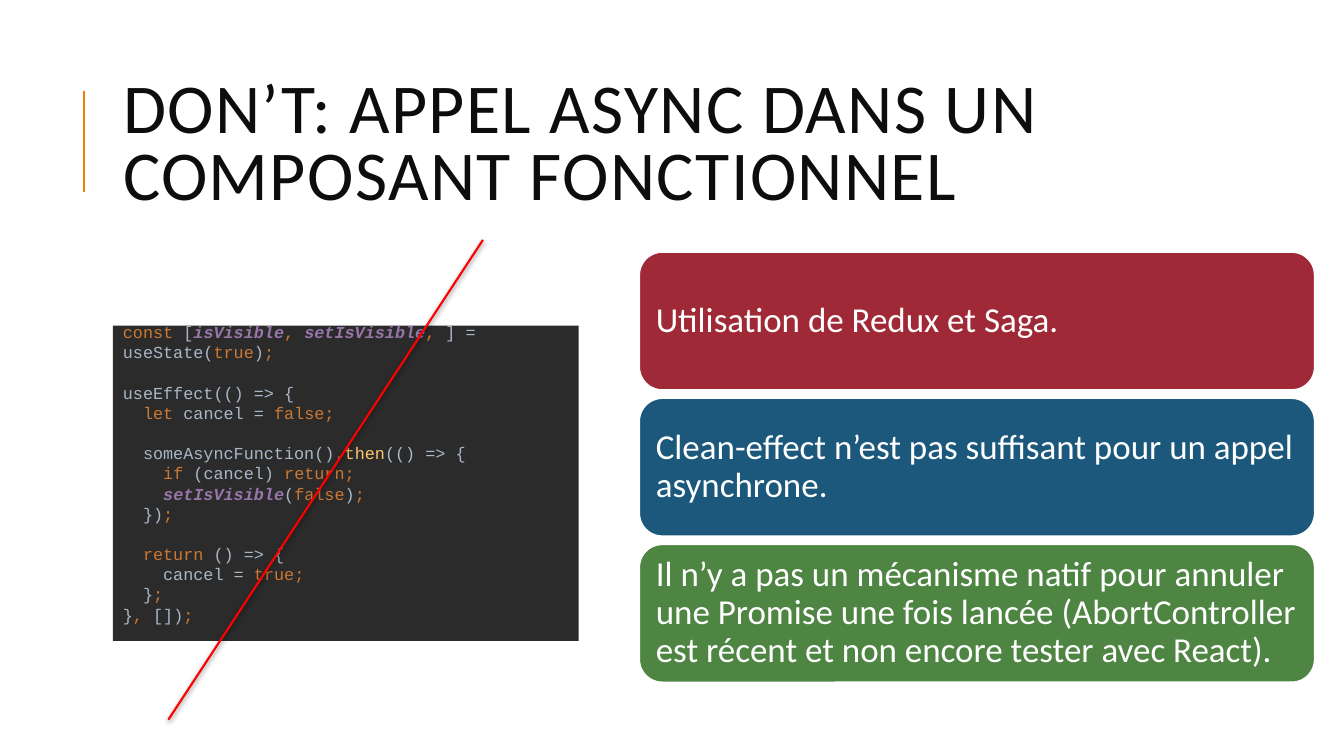
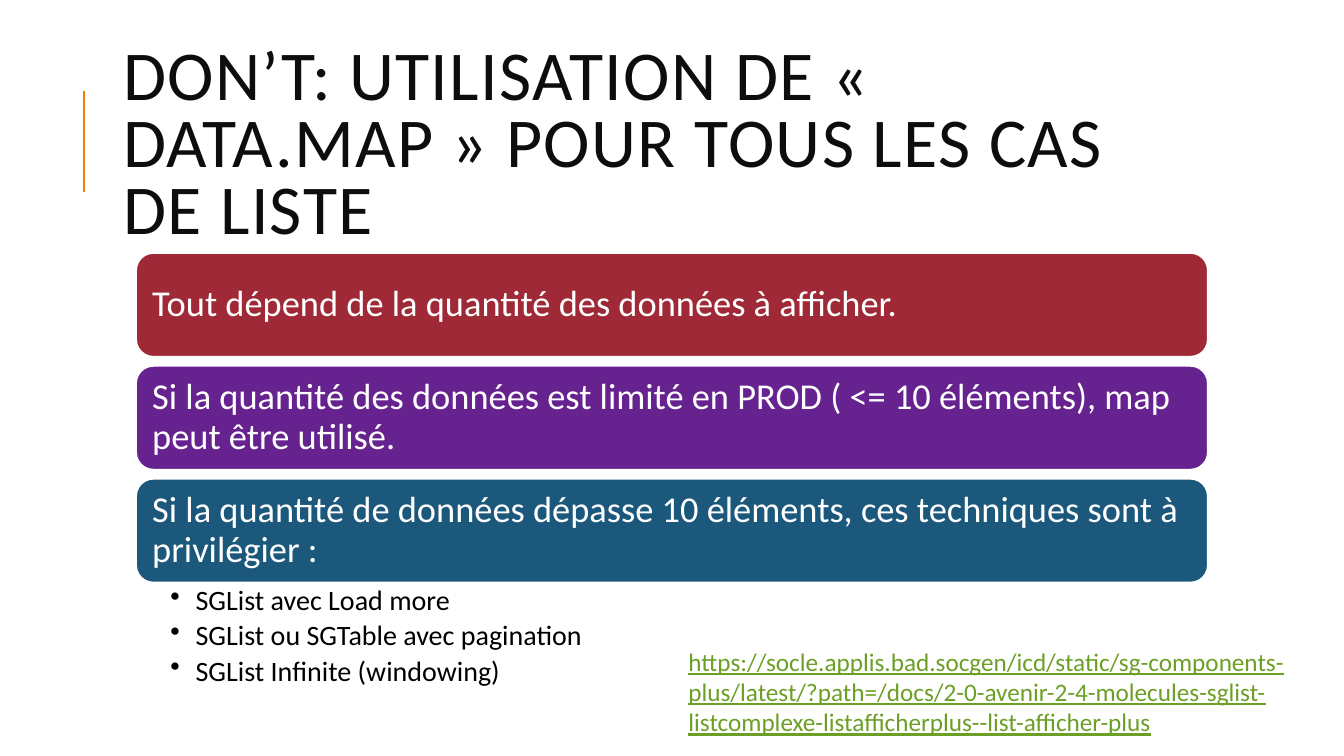
from dataclasses import dataclass
from typing import NamedTuple

import lxml.etree
import pptx
import pptx.dml.color
import pptx.enum.shapes
import pptx.enum.text
import pptx.oxml.ns
import pptx.presentation
import pptx.shapes.autoshape
import pptx.shapes.connector
import pptx.slide
import pptx.text.text
import pptx.util

EMU_PER_PX = 9144
ANCHOR = pptx.enum.text.MSO_ANCHOR
SHAPE = pptx.enum.shapes.MSO_SHAPE
qn = pptx.oxml.ns.qn


@dataclass(frozen=True)
class Theme:
    font: str = "Calibri"
    code_font: str = "Courier New"
    title: str = "0D0D0D"
    accent: str = "F07F09"
    white: str = "FFFFFF"
    black: str = "000000"
    red: str = "9F2936"
    blue: str = "1B587C"
    green: str = "4E8542"
    purple: str = "66228E"
    strike: str = "FF0000"
    link: str = "6B9F25"
    code_fill: str = "2B2B2B"
    plain: str = "A9B7C6"
    keyword: str = "CC7832"
    state: str = "9876AA"
    method: str = "FFC66D"
    title_size: int = 50
    bullet_size: int = 20
    link_size: int = 18
    code_size: int = 12


THEME = Theme()


class Box(NamedTuple):
    left: int
    top: int
    width: int
    height: int


class Card(NamedTuple):
    text: str
    fill: str


class Token(NamedTuple):
    text: str
    color: str


@dataclass(frozen=True)
class CardStack:
    first: Box
    gap: int
    inset: int
    size: int
    cards: tuple[Card, ...]


TITLE_BOX = Box(112, 64, 1063, 164)
CODE_BOX = Box(112, 323, 462, 313)
BULLET_BOX = Box(135, 578, 1063, 103)
LINK_BOX = Box(673, 636, 643, 101)

ASYNC_STACK = CardStack(Box(634, 250, 670, 137), 8, 10, 25, (
    Card("Utilisation de Redux et Saga.", THEME.red),
    Card("Clean-effect n’est pas suffisant pour un appel asynchrone.", THEME.blue),
    Card("Il n’y a pas un mécanisme natif pour annuler une Promise une fois lancée "
         "(AbortController est récent et non encore tester avec React).", THEME.green),
))
LIST_STACK = CardStack(Box(135, 251, 1063, 103), 9, 11, 26, (
    Card("Tout dépend de la quantité des données à afficher.", THEME.red),
    Card("Si la quantité des données est limité en PROD ( <= 10 éléments), "
         "map peut être utilisé.", THEME.purple),
    Card("Si la quantité de données dépasse 10 éléments, ces techniques sont à "
         "privilégier :", THEME.blue),
))
TECHNIQUES = (
    "SGList avec Load more",
    "SGList ou SGTable avec pagination",
    "SGList Infinite (windowing)",
)
LINK = (
    "https://socle.applis.bad.socgen/icd/static/sg-components-plus/latest/"
    "?path=/docs/2-0-avenir-2-4-molecules-sglist-listcomplexe-listafficherplus"
    "--list-afficher-plus"
)
CODE = (
    Token("const ", THEME.keyword),
    Token("[", THEME.plain),
    Token("isVisible", THEME.state),
    Token(", ", THEME.keyword),
    Token("setIsVisible", THEME.state),
    Token(", ", THEME.keyword),
    Token("] = useState(", THEME.plain),
    Token("true", THEME.keyword),
    Token(")", THEME.plain),
    Token(";\n\n", THEME.keyword),
    Token("useEffect(() => {\n  ", THEME.plain),
    Token("let ", THEME.keyword),
    Token("cancel = ", THEME.plain),
    Token("false;\n\n  ", THEME.keyword),
    Token("someAsyncFunction().", THEME.plain),
    Token("then", THEME.method),
    Token("(() => {\n    ", THEME.plain),
    Token("if ", THEME.keyword),
    Token("(cancel) ", THEME.plain),
    Token("return;\n    ", THEME.keyword),
    Token("setIsVisible", THEME.state),
    Token("(", THEME.plain),
    Token("false", THEME.keyword),
    Token(")", THEME.plain),
    Token(";\n  ", THEME.keyword),
    Token("})", THEME.plain),
    Token(";\n\n  return ", THEME.keyword),
    Token("() => {\n    cancel = ", THEME.plain),
    Token("true;\n  ", THEME.keyword),
    Token("}", THEME.plain),
    Token(";\n", THEME.keyword),
    Token("}", THEME.plain),
    Token(", ", THEME.keyword),
    Token("[])", THEME.plain),
    Token(";\n", THEME.keyword),
)


def px(n: int) -> pptx.util.Emu:
    return pptx.util.Emu(n * EMU_PER_PX)


def emu(box: Box) -> tuple[pptx.util.Emu, ...]:
    return tuple(px(n) for n in box)


def rgb(color: str) -> pptx.dml.color.RGBColor:
    return pptx.dml.color.RGBColor.from_string(color)


def style_font(font: pptx.text.text.Font, size: int, color: str, name: str = THEME.font) -> None:
    font.name = name
    font.size = pptx.util.Pt(size)
    font.color.rgb = rgb(color)


def style_runs(p: pptx.text.text._Paragraph, size: int, color: str) -> None:
    for r in p.runs:
        style_font(r.font, size, color)


def set_insets(tf: pptx.text.text.TextFrame, left: int, top: int, right: int, bottom: int) -> None:
    tf.margin_left, tf.margin_top = px(left), px(top)
    tf.margin_right, tf.margin_bottom = px(right), px(bottom)


def add_line(s: pptx.slide.Slide, start: tuple[int, int], end: tuple[int, int],
             color: str) -> lxml.etree._Element:
    line = s.shapes.add_connector(pptx.enum.shapes.MSO_CONNECTOR.STRAIGHT,
                                  *(px(n) for n in start + end))
    line.line.color.rgb = rgb(color)
    line.line.width = pptx.util.Pt(1.5)
    return lxml.etree.SubElement(line._element.spPr, qn("a:effectLst"))


def add_shadow(effects: lxml.etree._Element) -> None:
    shadow = lxml.etree.SubElement(
        effects, qn("a:outerShdw"), blurRad=str(pptx.util.Pt(4)), dist=str(pptx.util.Pt(1)),
        dir="5400000", rotWithShape="0")
    color = lxml.etree.SubElement(shadow, qn("a:srgbClr"), val=THEME.black)
    lxml.etree.SubElement(color, qn("a:alpha"), val="50000")


def add_panel(s: pptx.slide.Slide, kind: SHAPE, box: Box,
              fill: str) -> pptx.shapes.autoshape.Shape:
    sp = s.shapes.add_shape(kind, *emu(box))
    sp.shadow.inherit = False
    sp.fill.solid()
    sp.fill.fore_color.rgb = rgb(fill)
    sp.line.fill.background()
    tf = sp.text_frame
    tf.word_wrap = True
    tf.vertical_anchor = ANCHOR.MIDDLE
    tf.paragraphs[0].alignment = pptx.enum.text.PP_ALIGN.LEFT
    return sp


def add_slide(prs: pptx.presentation.Presentation, title: str) -> pptx.slide.Slide:
    s = prs.slides.add_slide(prs.slide_layouts[5])
    add_line(s, (83, 190), (83, 90), THEME.accent)
    sp = s.shapes.title
    sp.left, sp.top, sp.width, sp.height = emu(TITLE_BOX)
    tf = sp.text_frame
    tf.text = title
    tf.word_wrap = True
    tf.auto_size = pptx.enum.text.MSO_AUTO_SIZE.NONE
    tf.vertical_anchor = ANCHOR.MIDDLE
    p = tf.paragraphs[0]
    p.alignment = pptx.enum.text.PP_ALIGN.LEFT
    p.line_spacing = 0.8
    style_runs(p, THEME.title_size, THEME.title)
    for r in p.runs:
        r._r.get_or_add_rPr().set("spc", "100")
    return s


def add_cards(s: pptx.slide.Slide, stack: CardStack) -> None:
    step = stack.first.height + stack.gap
    for i, card in enumerate(stack.cards):
        box = stack.first._replace(top=stack.first.top + i * step)
        sp = add_panel(s, SHAPE.ROUNDED_RECTANGLE, box, card.fill)
        sp.line.color.rgb = rgb(THEME.white)
        sp.line.width = pptx.util.Pt(1.25)
        set_insets(sp.text_frame, *[stack.inset] * 4)
        p = sp.text_frame.paragraphs[0]
        p.text = card.text
        p.line_spacing = 0.9
        style_runs(p, stack.size, THEME.white)


def add_code(s: pptx.slide.Slide, box: Box, tokens: tuple[Token, ...]) -> None:
    p = add_panel(s, SHAPE.RECTANGLE, box, THEME.code_fill).text_frame.paragraphs[0]
    for token in tokens:
        for i, piece in enumerate(token.text.split("\n")):
            if i:
                p.add_line_break()
            if piece:
                r = p.add_run()
                r.text = piece
                style_font(r.font, THEME.code_size, token.color, THEME.code_font)
                r.font.bold = r.font.italic = token.color == THEME.state
    marks = [lxml.etree.SubElement(br, qn("a:rPr")) for br in p._p.findall(qn("a:br"))]
    marks.append(lxml.etree.SubElement(p._p, qn("a:endParaRPr")))
    for mark in marks:
        mark.set("sz", str(THEME.code_size * 100))
        lxml.etree.SubElement(mark, qn("a:latin"), typeface=THEME.code_font)


def add_bullets(s: pptx.slide.Slide, box: Box, items: tuple[str, ...]) -> None:
    tf = s.shapes.add_textbox(*emu(box)).text_frame
    tf.word_wrap = True
    set_insets(tf, 34, 4, 20, 4)
    tf.text = "\n".join(items)
    for p in tf.paragraphs:
        p.line_spacing = 0.9
        p.space_after = pptx.util.Pt(3.5)
        pPr = p._p.get_or_add_pPr()
        pPr.set("marL", str(px(25)))
        pPr.set("indent", str(px(-25)))
        lxml.etree.SubElement(pPr, qn("a:buChar"), char="•")
        style_runs(p, THEME.bullet_size, THEME.black)


def add_link_text(s: pptx.slide.Slide, box: Box, text: str) -> None:
    tf = s.shapes.add_textbox(*emu(box)).text_frame
    tf.word_wrap = True
    tf.text = text
    p = tf.paragraphs[0]
    style_runs(p, THEME.link_size, THEME.link)
    p.runs[0].font.underline = True


def main() -> None:
    prs = pptx.Presentation()
    prs.slide_width, prs.slide_height = px(1333), px(750)

    s = add_slide(prs, "DON’T: APPEL ASYNC DANS UN COMPOSANT FONCTIONNEL")
    add_code(s, CODE_BOX, CODE)
    add_shadow(add_line(s, (479, 238), (167, 714), THEME.strike))
    add_cards(s, ASYNC_STACK)

    s = add_slide(prs, "DON’T: UTILISATION DE « DATA.MAP » POUR TOUS LES CAS DE LISTE")
    add_cards(s, LIST_STACK)
    add_bullets(s, BULLET_BOX, TECHNIQUES)
    add_link_text(s, LINK_BOX, LINK)

    prs.save("out.pptx")


if __name__ == "__main__":
    main()
